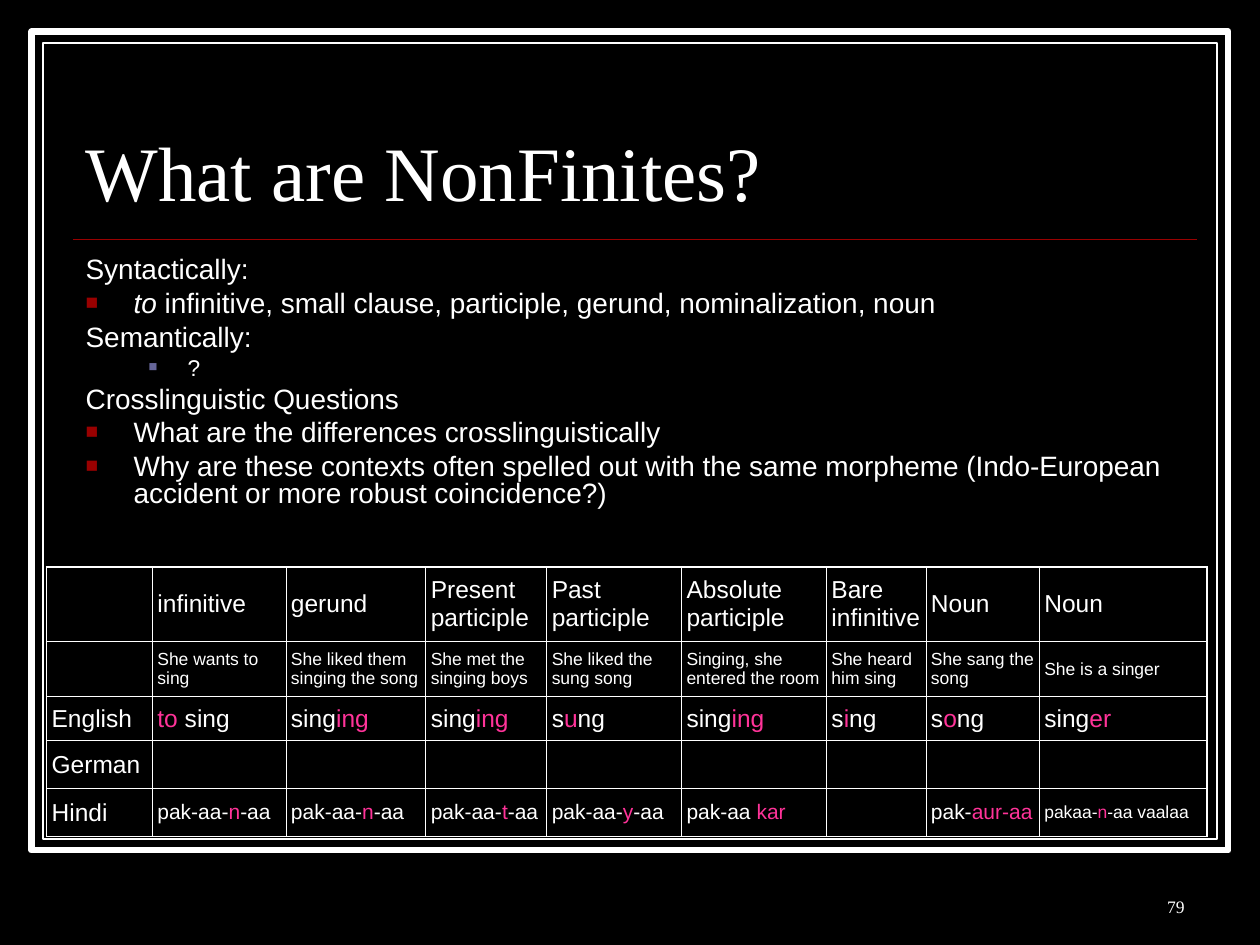
from lxml.etree import SubElement as Sub
from pptx import Presentation
from pptx.dml.color import RGBColor as RGB
from pptx.enum.shapes import MSO_CONNECTOR as Conn, MSO_SHAPE as Shape
from pptx.enum.text import MSO_ANCHOR as Anchor, MSO_AUTO_SIZE as Auto, PP_ALIGN as Align
from pptx.oxml.ns import qn
from pptx.util import Inches, Pt

BLACK = RGB(0, 0, 0)
WHITE = RGB(255, 255, 255)
RED = RGB(0x99, 0, 0)
BLUE = RGB(0x66, 0x66, 0x99)
PINK = RGB(0xFF, 0x33, 0x99)
SANS, SERIF = "Arial", "Times New Roman"

TITLE = "What are NonFinites?"
HEAD, ITEM, SUB = "head", "item", "sub"
BODY = [
    (HEAD, "Syntactically:"),
    (ITEM, "*to* infinitive, small clause, participle, gerund, nominalization, noun"),
    (HEAD, "Semantically:"),
    (SUB, "?"),
    (HEAD, "Crosslinguistic Questions"),
    (ITEM, "What are the differences crosslinguistically"),
    (ITEM, "Why are these contexts often spelled out with the same morpheme "
           "(Indo-European accident or more robust coincidence?)"),
]
KINDS = {
    HEAD: dict(level=0, size=16, gap=4, left=0.38, hang=0.38, mark=None),
    ITEM: dict(level=0, size=16, gap=4, left=0.38, hang=0.38, mark=(RED, 75)),
    SUB: dict(level=1, size=13, gap=3.3, left=0.81, hang=0.31, mark=(BLUE, 65)),
}
GRID = [
    ["", "infinitive", "gerund", "Present participle", "Past participle",
     "Absolute participle", "Bare infinitive", "Noun", "Noun"],
    ["", "She wants to sing", "She liked them singing the song",
     "She met the singing boys", "She liked the sung song",
     "Singing, she entered the room", "She heard him sing",
     "She sang the song", "She is a singer"],
    ["English", "*to* sing", "sing*ing*", "sing*ing*", "s*u*ng", "sing*ing*",
     "s*i*ng", "s*o*ng", "sing*er*"],
    ["German"] + [""] * 8,
    ["Hindi", "pak-aa-*n*-aa", "pak-aa-*n*-aa", "pak-aa-*t*-aa", "pak-aa-*y*-aa",
     "pak-aa *kar*", "", "pak-*aur-aa*", "pakaa-*n*-aa vaalaa"],
]
COLS = [0.84, 1.06, 1.11, 0.96, 1.07, 1.15, 0.79, 0.9, 1.33]
ROWS = [0.59, 0.44, 0.35, 0.38, 0.38]
SIZES = [[14] * 9, [10] * 9, [14] * 9, [14] * 9, [14] + [12] * 7 + [10]]
FRAMES = [(0.25, 3.5), (0.34, 0.75)]
LEFT, WIDE = 0.58, 8.92


def place(shape, *box):
    shape.left, shape.top, shape.width, shape.height = map(Inches, box)


def style(para, face, size):
    para.font.name, para.font.size = face, Pt(size)
    para.font.color.rgb = WHITE


def split(para, text):
    runs = []
    for i, part in enumerate(text.split("*")):
        if part:
            run = para.add_run()
            run.text = part
            runs.append((run, i % 2 == 1))
    return runs


def bullet(para, mark):
    props = para._p.get_or_add_pPr()
    if mark is None:
        Sub(props, qn("a:buNone"))
        return
    color, share = mark
    Sub(Sub(props, qn("a:buClr")), qn("a:srgbClr"), val=str(color))
    Sub(props, qn("a:buSzPct"), val=str(share * 1000))
    Sub(props, qn("a:buFont"), typeface=SANS)
    Sub(props, qn("a:buChar"), char="■")


def border(cell, side, width):
    edge = Sub(cell._tc.get_or_add_tcPr(), qn("a:ln" + side), w=str(Pt(width)))
    Sub(Sub(edge, qn("a:solidFill")), qn("a:srgbClr"), val=str(WHITE))


def add_frame(slide):
    tree = slide.shapes._spTree
    parts = []
    for edge, width in FRAMES:
        rect = slide.shapes.add_shape(
            Shape.RECTANGLE, Inches(edge), Inches(edge),
            Inches(10 - 2 * edge), Inches(7 - 2 * edge))
        rect.shadow.inherit = False
        rect.fill.solid()
        rect.fill.fore_color.rgb = BLACK
        rect.line.color.rgb, rect.line.width = WHITE, Pt(width)
        parts.append(rect)
    rule = slide.shapes.add_connector(
        Conn.STRAIGHT, Inches(LEFT), Inches(1.9), Inches(LEFT + WIDE), Inches(1.9))
    rule.line.color.rgb, rule.line.width = RED, Pt(1)
    Sub(rule._element.spPr, qn("a:effectLst"))
    parts.append(rule)
    for i, part in enumerate(parts):
        tree.insert(2 + i, part._element)


def add_title(slide):
    title = slide.shapes.title
    place(title, LEFT, 0.52, WIDE, 1.25)
    frame = title.text_frame
    frame.text = TITLE
    frame.auto_size, frame.vertical_anchor = Auto.NONE, Anchor.BOTTOM
    para = frame.paragraphs[0]
    para.alignment, para.line_spacing = Align.LEFT, 0.8
    style(para, SERIF, 44)


def add_body(slide):
    body = slide.placeholders[1]
    place(body, LEFT, 2, WIDE, 2.32)
    frame = body.text_frame
    frame.auto_size = Auto.NONE
    for i, (name, text) in enumerate(BODY):
        kind = KINDS[name]
        para = frame.add_paragraph() if i else frame.paragraphs[0]
        para.level = kind["level"]
        bullet(para, kind["mark"])
        props = para._p.get_or_add_pPr()
        props.set("marL", str(Inches(kind["left"])))
        props.set("indent", str(-Inches(kind["hang"])))
        para.line_spacing = 0.8
        para.space_before = Pt(kind["gap"] if i else 0)
        style(para, SANS, kind["size"])
        for run, marked in split(para, text):
            if marked:
                run.font.italic = True


def add_grid(slide):
    table = slide.shapes.add_table(
        len(ROWS), len(COLS), Inches(0.37), Inches(4.5),
        Inches(sum(COLS)), Inches(sum(ROWS))).table
    table.first_row = table.horz_banding = False
    for col, width in zip(table.columns, COLS):
        col.width = Inches(width)
    for row, height in zip(table.rows, ROWS):
        row.height = Inches(height)
    for r, line in enumerate(GRID):
        for c, text in enumerate(line):
            cell = table.cell(r, c)
            cell.margin_left = cell.margin_right = Inches(0.04)
            cell.vertical_anchor = Anchor.MIDDLE
            outer = {"L": c == 0, "R": c == len(COLS) - 1,
                     "T": r == 0, "B": r == len(ROWS) - 1}
            for side, out in outer.items():
                border(cell, side, 1.08 if out else 0.45)
            cell.fill.background()
            para = cell.text_frame.paragraphs[0]
            style(para, SANS, SIZES[r][c])
            for run, marked in split(para, text):
                run.font.color.rgb = PINK if marked else WHITE


def add_number(slide):
    box = slide.shapes.add_textbox(
        Inches(7.42), Inches(6.83), Inches(2.08), Inches(0.5))
    frame = box.text_frame
    frame.word_wrap, frame.vertical_anchor = True, Anchor.BOTTOM
    frame.text = "79"
    para = frame.paragraphs[0]
    para.alignment = Align.RIGHT
    style(para, SERIF, 10)


def main():
    deck = Presentation()
    deck.slide_width, deck.slide_height = Inches(10), Inches(7.5)
    slide = deck.slides.add_slide(deck.slide_layouts[1])
    slide.background.fill.solid()
    slide.background.fill.fore_color.rgb = BLACK
    add_frame(slide)
    add_title(slide)
    add_body(slide)
    add_grid(slide)
    add_number(slide)
    deck.save("out.pptx")


if __name__ == "__main__":
    main()
